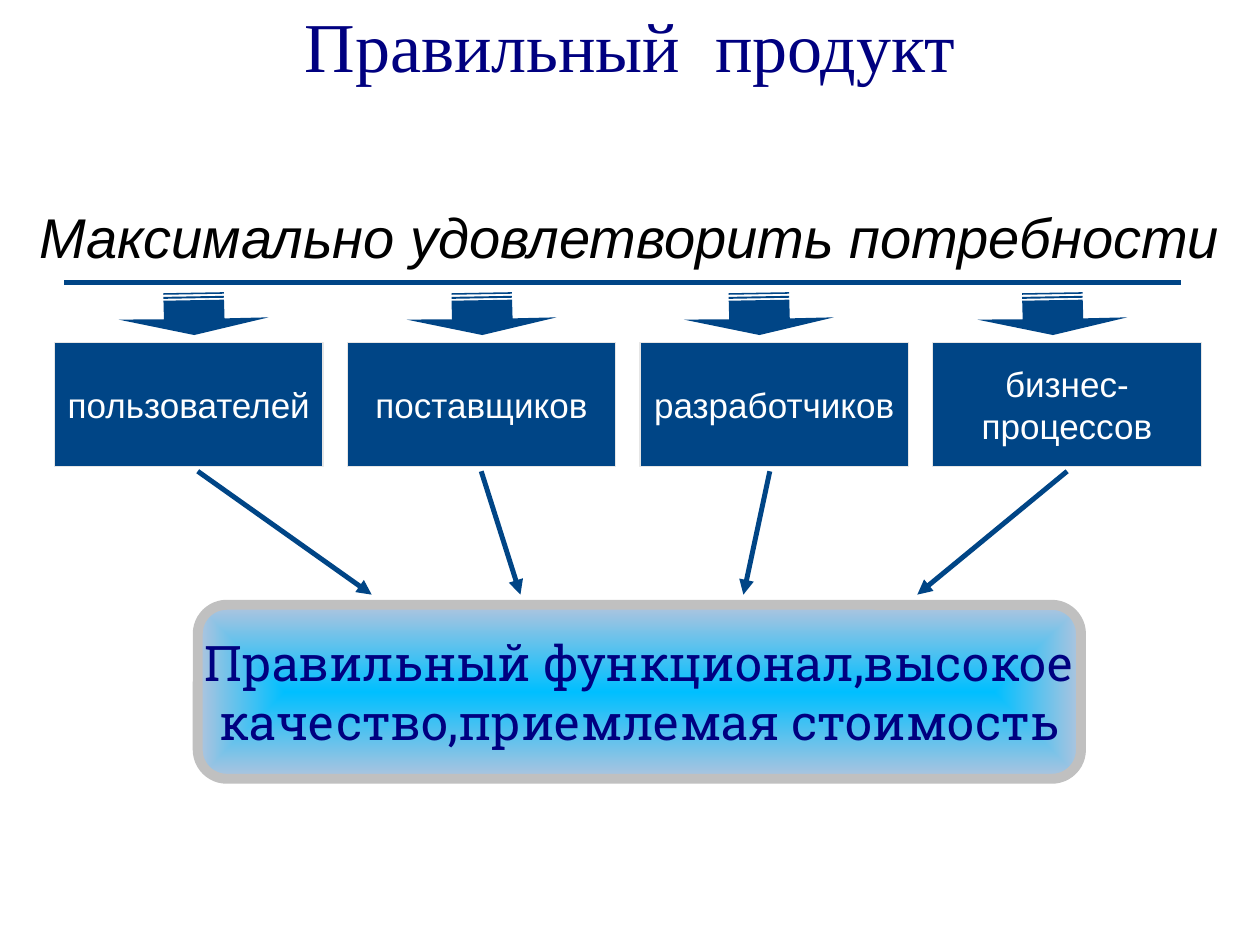
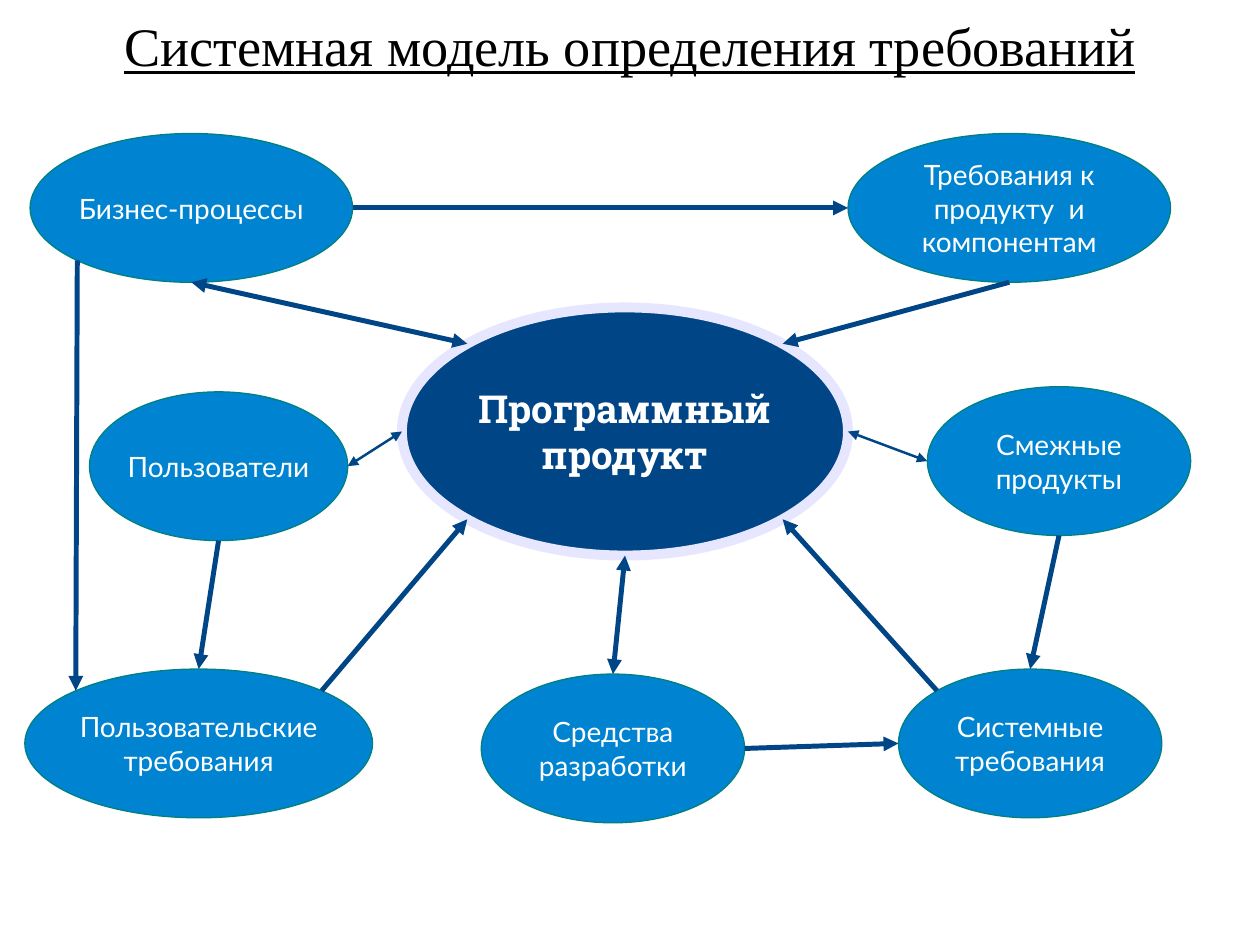
import math

import pptx
import pptx.dml.color
import pptx.enum.shapes
import pptx.enum.text
import pptx.oxml
import pptx.oxml.ns
import pptx.util

Pt = pptx.util.Pt
Kind = pptx.enum.shapes.MSO_SHAPE

NAVY, BLUE, SKY, TEAL = "000080", "004586", "0084D1", "008080"
WHITE, BLACK = "FFFFFF", "000000"
THICK, THIN = 2.83, 1.42

# Outlines of the striped arrow, measured from its tip
STRIPED = [
    [(42.5, -10.1), (0, 0), (-43.2, -8.8), (-17.3, -9), (-17.6, -19.6), (17, -20.2), (17.3, -9.5)],
    [(16.9, -24.5), (-17.6, -23.9), (-17.6, -23), (16.9, -23.6)],
    [(16.9, -22.4), (-17.6, -21.8), (-17.6, -20.7), (16.9, -21.3)],
]

# Places on an ellipse as angles, clockwise from the right
SITES = {"e": 0, "se": 45, "s": 90, "sw": 135, "w": 180, "nw": 225, "n": 270, "ne": 315}


def ink(code):
    return pptx.dml.color.RGBColor.from_string(code)


def site(box, name):
    """Point of the ellipse inscribed in box at a compass direction."""
    left, top, width, height = box
    turn = math.radians(SITES[name])
    return (left + width / 2 * (1 + math.cos(turn)),
            top + height / 2 * (1 + math.sin(turn)))


class Deck:
    """Holds the presentation, its style and the current slide."""

    def __init__(self):
        self.show = pptx.Presentation()
        self.show.slide_width, self.show.slide_height = Pt(720), Pt(540)

    def start(self, title, size, color, under=False):
        """Add a blank slide with the shared title line."""
        self.slide = self.show.slides.add_slide(self.show.slide_layouts[6])
        fill = self.slide.background.fill
        fill.solid()
        fill.fore_color.rgb = ink(WHITE)
        font = self.label(title, (0, -2.9, 720, 56.9), "Times New Roman", size, color)
        font.underline = under

    def letter(self, shape, text, face, size, color, pad=(0, 1.5), wrap=True):
        """Fill a shape with centred text and return the last font."""
        frame = shape.text_frame
        frame.word_wrap = wrap
        frame.vertical_anchor = pptx.enum.text.MSO_ANCHOR.MIDDLE
        frame.margin_left = frame.margin_right = Pt(pad[0])
        frame.margin_top = frame.margin_bottom = Pt(pad[1])
        frame.text = text
        for para in frame.paragraphs:
            para.alignment = pptx.enum.text.PP_ALIGN.CENTER
            font = para.font
            font.name, font.size, font.color.rgb = face, Pt(size), ink(color)
        return font

    def label(self, text, box, face, size, color):
        shape = self.slide.shapes.add_textbox(*map(Pt, box))
        return self.letter(shape, text, face, size, color)

    def shape(self, kind, box, fill, edge, width=0.75):
        shape = self.slide.shapes.add_shape(kind, *map(Pt, box))
        shape.shadow.inherit = False
        shape.fill.solid()
        shape.fill.fore_color.rgb = ink(fill)
        shape.line.color.rgb = ink(edge)
        shape.line.width = Pt(width)
        return shape

    def glow(self, shape, inner, outer):
        """Blend from the centre of the shape to its edges."""
        shape.fill.gradient()
        for stop, place, code in zip(shape.fill.gradient_stops, (0, 1), (inner, outer)):
            stop.position, stop.color.rgb = place, ink(code)
        grad = shape.element.spPr.find(pptx.oxml.ns.qn("a:gradFill"))
        grad.remove(grad.find(pptx.oxml.ns.qn("a:lin")))
        grad.append(pptx.oxml.parse_xml(
            f'<a:path {pptx.oxml.ns.nsdecls("a")} path="rect">'
            '<a:fillToRect l="50000" t="50000" r="50000" b="50000"/></a:path>'))

    def line(self, start, end, width=THICK, heads=""):
        """Draw a line; heads may be empty, "tail" or "head tail"."""
        kind = pptx.enum.shapes.MSO_CONNECTOR.STRAIGHT
        line = self.slide.shapes.add_connector(kind, *map(Pt, start + end))
        line.line.color.rgb = ink(BLUE)
        line.line.width = Pt(width)
        space = pptx.oxml.ns.nsdecls("a")
        stroke = line.element.spPr.find(pptx.oxml.ns.qn("a:ln"))
        for name in heads.split():
            stroke.append(pptx.oxml.parse_xml(f'<a:{name}End {space} type="triangle"/>'))
        line.element.spPr.append(pptx.oxml.parse_xml(f"<a:effectLst {space}/>"))

    def arrow(self, left, top):
        """Draw the striped arrow with its tip at the given point."""
        parts = [[(Pt(left + x), Pt(top + y)) for x, y in part] for part in STRIPED]
        pen = self.slide.shapes.build_freeform(*parts[0][0])
        pen.add_line_segments(parts[0][1:])
        for part in parts[1:]:
            pen.move_to(*part[0])
            pen.add_line_segments(part[1:])
        shape = pen.convert_to_shape()
        shape.shadow.inherit = False
        shape.fill.solid()
        shape.fill.fore_color.rgb = ink(BLUE)
        shape.line.fill.background()


def goals(deck):
    deck.start("Правильный  продукт", 40, NAVY)
    font = deck.label("Максимально удовлетворить потребности",
                      (0, 99.4, 720, 70.6), "Arial", 32, BLACK)
    font.italic = True
    deck.line((36.7, 161.5), (674.6, 161.5))

    needs = ["пользователей", "поставщиков", "разработчиков", "бизнес-процессов"]
    tips = [111, 275.6, 434, 601.7]
    links = [(113, 212.4), (275, 297.4), (439.9, 424.8), (609.8, 524.2)]
    for i, (need, tip, (start, end)) in enumerate(zip(needs, tips, links)):
        deck.arrow(tip, 191.5)
        box = deck.shape(Kind.RECTANGLE, (31.2 + 167.28 * i, 195.8, 153.4, 70.6), BLUE, "E6E6E6")
        deck.letter(box, need, "Arial", 20, WHITE)
        deck.line((start, 269.3), (end, 339.8), heads="tail")

    result = deck.shape(Kind.ROUNDED_RECTANGLE, (113, 345.6, 504.7, 99.4), SKY, "C0C0C0", 5.67)
    deck.glow(result, "00BFFF", "B0C4DE")
    deck.letter(result, "Правильный функционал,высокое\nкачество,приемлемая стоимость",
                "Roboto Slab", 28, NAVY, (10, 6.5), wrap=False)


def model(deck):
    deck.start("Системная модель определения требований", 31, BLACK, under=True)
    core = (229.7, 175.7, 254.9, 141.8)
    hub = deck.shape(Kind.OVAL, core, BLUE, "E6E6FF", 5.67)
    font = deck.letter(hub, "Программный продукт", "Roboto Slab", 22, WHITE, (2.9, 6.5))
    font.bold = True

    high = 85
    nodes = {
        "Бизнес-процессы": (17.2, 76.3, 184.3, high),
        "Требования к продукту  и компонентам": (484.6, 76.3, 184.3, high),
        "Пользователи": (51.1, 223.9, 147.6, high),
        "Смежные продукты": (529.9, 221, 150.5, high),
        "Пользовательские требования": (14.2, 382.3, 198.7, high),
        "Средства разработки": (275, 385.2, 150.5, high),
        "Системные требования": (513.4, 382.3, 150.5, high),
    }
    for text, box in nodes.items():
        deck.letter(deck.shape(Kind.OVAL, box, SKY, TEAL), text, "Lato", 16, WHITE)

    work, parts, users, near, wants, tools, system = nodes.values()
    both = "head tail"
    links = [
        (work, "s", core, "nw", THICK, both),
        (work, "e", parts, "w", THICK, "tail"),
        (work, "sw", wants, "nw", THICK, "tail"),
        (parts, "s", core, "ne", THICK, "tail"),
        (core, "e", near, "w", THIN, both),
        (users, "e", core, "w", THIN, both),
        (near, "s", system, "n", THICK, "tail"),
        (users, "s", wants, "n", THICK, "tail"),
        (system, "nw", core, "se", THICK, "tail"),
        (wants, "ne", core, "sw", THICK, "tail"),
        (core, "s", tools, "n", THICK, both),
        (tools, "e", system, "w", THICK, "tail"),
    ]
    for start, out, end, into, width, heads in links:
        deck.line(site(start, out), site(end, into), width, heads)


def main():
    deck = Deck()
    goals(deck)
    model(deck)
    deck.show.save("out.pptx")


if __name__ == "__main__":
    main()
